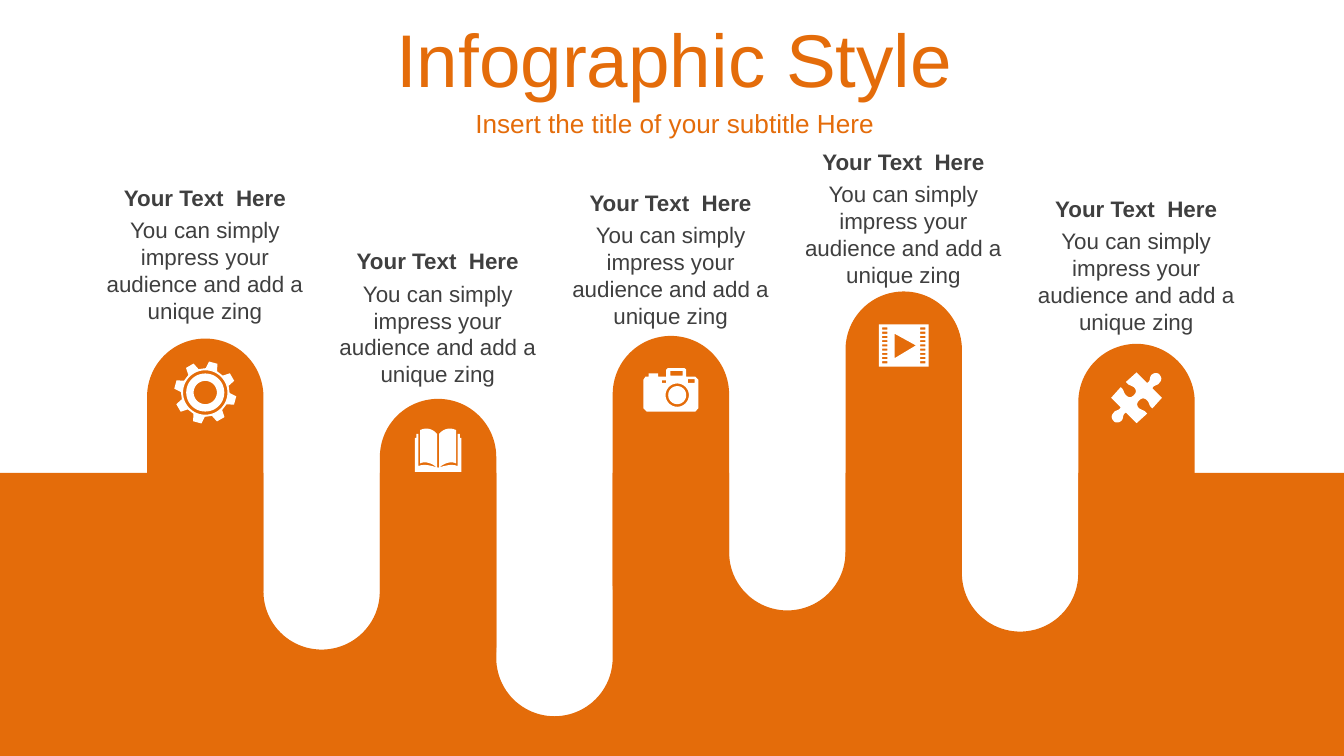
from dataclasses import dataclass
from math import cos, pi, radians, sin

from pptx import Presentation
from pptx.dml.color import RGBColor
from pptx.enum.shapes import MSO_SHAPE as Preset
from pptx.enum.text import MSO_ANCHOR as Anchor, PP_ALIGN as Align
from pptx.util import Cm, Pt


@dataclass(frozen=True)
class Theme:
    """Colours, font and type sizes of the slide."""
    accent: RGBColor = RGBColor(0xE4, 0x6C, 0x0A)
    icon: RGBColor = RGBColor(0xFF, 0xFF, 0xFF)
    ink: RGBColor = RGBColor(0x3F, 0x3F, 0x3F)
    font: str = "Arial"
    title: int = 40
    subtitle: int = 14
    body: int = 12


THEME = Theme()
SLIDE_WIDTH, SLIDE_HEIGHT = 25.4, 14.29
HORIZON = 8.94
FIRST_PILLAR, PILLAR_STEP, PILLAR_WIDTH = 2.78, 4.4, 2.2
VALLEY_BOTTOMS = (12.28, 13.54, 11.54, 11.94)
HEADING = "Your Text  Here"
BODY = "You can simply impress your audience and add a unique zing"


def arc(x, y, radius, start=0, end=360, steps=48):
    """Return points along an arc, with angles in degrees."""
    angles = (radians(start + (end - start) * i / steps) for i in range(steps + 1))
    return [(x + radius * cos(a), y + radius * sin(a)) for a in angles]


def box(left, top, right, bottom):
    """Return the corners of a rectangle."""
    return [(left, top), (right, top), (right, bottom), (left, bottom)]


def trace(*steps):
    """Turn line ends (2 numbers) and cubic curves (6 numbers) into points."""
    points = []
    for step in steps:
        if len(step) == 2:
            points.append(step)
            continue
        x0, y0 = points[-1]
        x1, y1, x2, y2, x3, y3 = step
        for i in range(1, 9):
            t = i / 8
            u = 1 - t
            weights = (u ** 3, 3 * u * u * t, 3 * u * t * t, t ** 3)
            points.append((sum(w * x for w, x in zip(weights, (x0, x1, x2, x3))),
                           sum(w * y for w, y in zip(weights, (y0, y1, y2, y3)))))
    return points


def gear():
    """Return the contours of an eight-toothed gear."""
    teeth = [(radius * cos(radians(tooth + turn)), radius * sin(radians(tooth + turn)))
             for tooth in range(-75, 285, 45)
             for turn, radius in ((-14, 0.46), (-8, 0.59), (8, 0.59), (14, 0.46))]
    return [teeth] + [arc(0, 0, radius) for radius in (0.42, 0.36, 0.22)]


def book():
    """Return the contours of an open book."""
    page = trace((-0.02, -0.36), (-0.08, -0.43, -0.2, -0.5, -0.34, -0.43),
                 (-0.34, 0.2), (-0.24, 0.15, -0.11, 0.2, -0.02, 0.28))
    cover = trace((-0.44, 0.36), (-0.44, -0.28), (-0.41, -0.28), (-0.41, -0.36),
                  (-0.37, -0.36), (-0.37, 0.25),
                  (-0.24, 0.2, -0.13, 0.25, 0, 0.28), (0, 0.36))
    return [[(side * x, y) for x, y in half] for side in (1, -1) for half in (page, cover)]


def camera():
    """Return the contours of a camera."""
    body = [(-0.52, -0.19), (-0.48, -0.25), (-0.42, -0.25), (-0.42, -0.31),
            (-0.24, -0.31), (-0.24, -0.25), (-0.09, -0.25), (-0.09, -0.38),
            (-0.06, -0.41), (0.26, -0.41), (0.29, -0.38), (0.29, -0.25),
            (0.46, -0.25), (0.52, -0.19), (0.52, 0.35), (0.46, 0.41),
            (-0.46, 0.41), (-0.52, 0.35)]
    return [body, box(-0.01, -0.36, 0.22, -0.27), box(0.32, -0.2, 0.45, -0.13),
            box(-0.17, -0.18, -0.09, -0.13), arc(0.12, 0.1, 0.22), arc(0.12, 0.1, 0.17)]


def film():
    """Return the contours of a film frame with a play mark."""
    rows = [-0.34 + 0.08 * row for row in range(9)]
    holes = [box(left, top, left + 0.1, top + 0.04) for top in rows for left in (-0.41, 0.31)]
    play = [(-0.17, -0.22), (0.23, 0), (-0.17, 0.24)]
    return [box(-0.47, -0.4, 0.47, 0.4), play] + holes


def puzzle():
    """Return the contour of a jigsaw piece, symmetric under a half turn."""
    half = trace((0, -0.48), (0.2, -0.28), (0.28, -0.33, 0.23, -0.36, 0.28, -0.43),
                 (0.33, -0.48, 0.41, -0.48, 0.44, -0.43),
                 (0.48, -0.38, 0.48, -0.33, 0.43, -0.28),
                 (0.41, -0.23, 0.33, -0.25, 0.3, -0.18), (0.48, 0), (0.3, 0.2),
                 (0.23, 0.15, 0.25, 0.1, 0.2, 0.05), (0.15, 0, 0.1, 0, 0.05, 0.05),
                 (0, 0.1, 0, 0.15, 0.05, 0.2), (0.13, 0.25, 0.15, 0.23, 0.2, 0.3))
    return [half + [(-x, -y) for x, y in half]]


def paint(shape, colour):
    """Give a shape a plain fill without line or shadow."""
    shape.shadow.inherit = False
    shape.fill.solid()
    shape.fill.fore_color.rgb = colour
    shape.line.fill.background()


def add_preset(slide, preset, left, top, width, height):
    """Add an accent-coloured preset shape."""
    shape = slide.shapes.add_shape(preset, Cm(left), Cm(top), Cm(width), Cm(height))
    paint(shape, THEME.accent)
    return shape


def add_outline(slide, contours, colour, x=0, y=0):
    """Add a freeform whose inner contours are holes."""
    placed = [[(Cm(x + px), Cm(y + py)) for px, py in contour] for contour in contours]
    builder = slide.shapes.build_freeform(*placed[0][0])
    for i, contour in enumerate(placed):
        if i:
            builder.move_to(*contour[0])
        builder.add_line_segments(contour[1:], close=True)
    paint(builder.convert_to_shape(), colour)


def add_text(slide, words, left, top, width, height, size, colour,
             bold=False, anchor=Anchor.TOP, inset=0.13):
    """Add a centred text box."""
    frame = slide.shapes.add_textbox(Cm(left), Cm(top), Cm(width), Cm(height)).text_frame
    frame.word_wrap = True
    frame.vertical_anchor = anchor
    frame.margin_left = frame.margin_right = Cm(0.25)
    frame.margin_top = frame.margin_bottom = Cm(inset)
    paragraph = frame.paragraphs[0]
    paragraph.alignment = Align.CENTER
    run = paragraph.add_run()
    run.text = words
    run.font.name, run.font.size, run.font.bold = THEME.font, Pt(size), bold
    run.font.color.rgb = colour


def add_ground(slide):
    """Add the ground with a round-bottomed valley between pillars."""
    add_preset(slide, Preset.RECTANGLE, 0, 13.54, SLIDE_WIDTH, 0.75)
    radius = PILLAR_WIDTH / 2
    surface = [(0, HORIZON)]
    for i, bottom in enumerate(VALLEY_BOTTOMS):
        left = FIRST_PILLAR + PILLAR_WIDTH + i * PILLAR_STEP
        surface += [(left, HORIZON), *arc(left + radius, bottom - radius, radius, 180, 0),
                    (left + PILLAR_WIDTH, HORIZON)]
    surface += [(SLIDE_WIDTH, HORIZON), (SLIDE_WIDTH, SLIDE_HEIGHT), (0, SLIDE_HEIGHT)]
    add_outline(slide, [surface], THEME.accent)


def add_pillar(slide, left, top, height, icon, heading_top):
    """Add one pillar with its icon, heading and text."""
    pillar = add_preset(slide, Preset.ROUNDED_RECTANGLE, left, top, PILLAR_WIDTH, height)
    pillar.adjustments[0] = 0.5
    add_preset(slide, Preset.OVAL, left + 0.17, top + 0.15, 1.86, 1.86)
    centre = left + PILLAR_WIDTH / 2
    add_outline(slide, icon(), THEME.icon, centre, top + 1.02)
    text_left, text_width = centre - 2.38, 4.75
    add_text(slide, BODY, text_left, heading_top + 0.61, text_width, 2.29, THEME.body, THEME.ink)
    add_text(slide, HEADING, text_left, heading_top, text_width, 0.76,
             THEME.body, THEME.ink, bold=True)


def main():
    """Build the slide and save it."""
    deck = Presentation()
    deck.slide_width, deck.slide_height = Cm(SLIDE_WIDTH), Cm(SLIDE_HEIGHT)
    slide = deck.slides.add_slide(deck.slide_layouts[6])
    add_ground(slide)
    pillars = ((6.4, 5.79, gear, 3.35), (7.54, 5.79, book, 4.55), (6.35, 5.79, camera, 3.45),
               (5.51, 7.04, film, 2.67), (6.5, 7.04, puzzle, 3.56))
    for i, pillar in enumerate(pillars):
        add_pillar(slide, FIRST_PILLAR + i * PILLAR_STEP, *pillar)
    add_text(slide, "Infographic Style", 0.08, 0.33, 25.32, 1.52, THEME.title,
             THEME.accent, anchor=Anchor.MIDDLE, inset=0.25)
    add_text(slide, "Insert the title of your subtitle Here", 0.13, 1.93, 25.25, 0.79,
             THEME.subtitle, THEME.accent, anchor=Anchor.MIDDLE, inset=0.25)
    deck.save("out.pptx")


if __name__ == "__main__":
    main()
